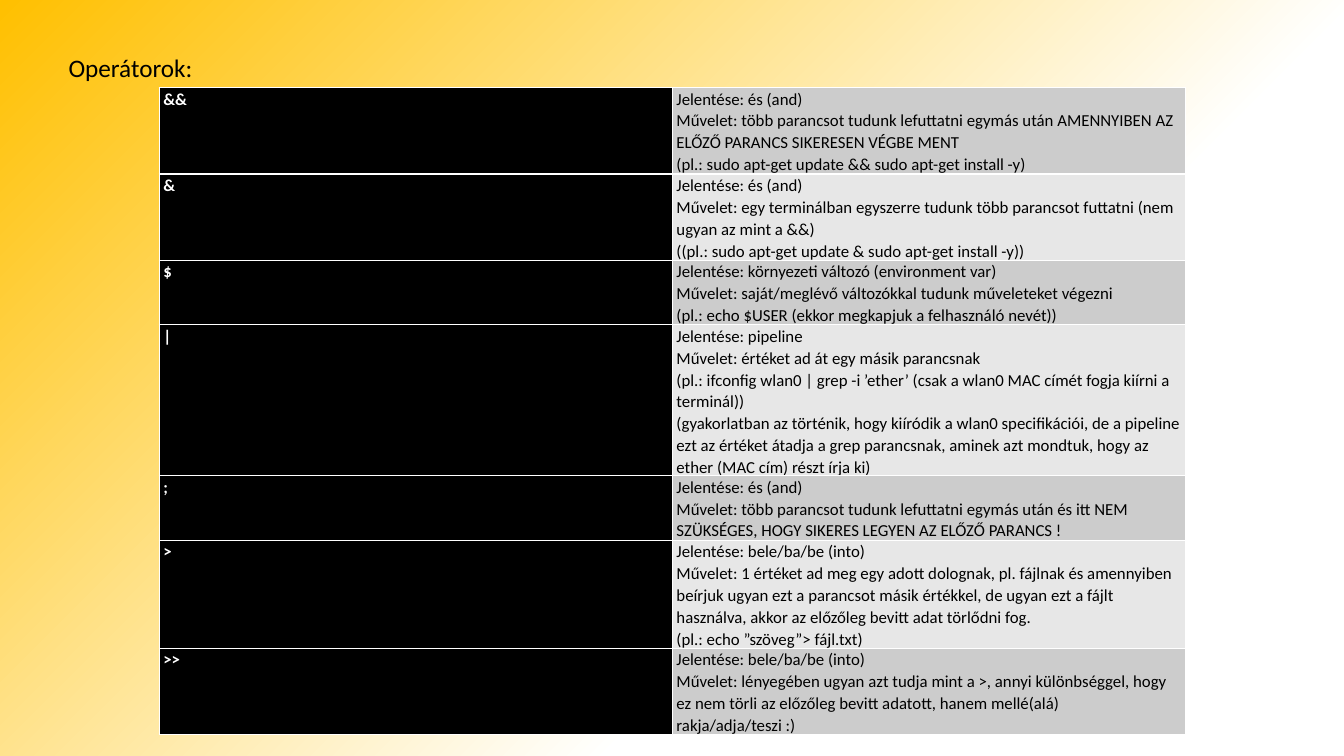
from lxml import etree
from pptx import Presentation
from pptx.dml import color as dml
from pptx.enum import text
from pptx.oxml import ns, parse_xml
from pptx.util import Inches, Pt

FONT = "Calibri"
BLACK, WHITE, GOLD = "000000", "FFFFFF", "FFC000"
BANDS = ("CCCCCC", "E7E7E7")
OPERATORS = [
    ("&&", 0.75, [
        "Jelentése: és (and)",
        "Művelet: több parancsot tudunk lefuttatni egymás után AMENNYIBEN AZ ELŐZŐ PARANCS SIKERESEN VÉGBE MENT",
        "(pl.: sudo apt-get update && sudo apt-get install -y)"]),
    ("&", 0.64, [
        "Jelentése: és (and)",
        "Művelet: egy terminálban egyszerre tudunk több parancsot futtatni (nem ugyan az mint a &&)",
        "((pl.: sudo apt-get update & sudo apt-get install -y))"]),
    ("$", 0.64, [
        "Jelentése: környezeti változó (environment var)",
        "Művelet: saját/meglévő változókkal tudunk műveleteket végezni",
        "(pl.: echo $USER (ekkor megkapjuk a felhasználó nevét))"]),
    ("|", 1.18, [
        "Jelentése: pipeline",
        "Művelet: értéket ad át egy másik parancsnak",
        "(pl.: ifconfig wlan0 | grep -i ’ether’ (csak a wlan0 MAC címét fogja kiírni a terminál))",
        "(gyakorlatban az történik, hogy kiíródik a wlan0 specifikációi, de a pipeline ezt az értéket "
        "átadja a grep parancsnak, aminek azt mondtuk, hogy az ether (MAC cím) részt írja ki)"]),
    (";", 0.53, [
        "Jelentése: és (and)",
        "Művelet: több parancsot tudunk lefuttatni egymás után és itt NEM SZÜKSÉGES, HOGY SIKERES LEGYEN "
        "AZ ELŐZŐ PARANCS !"]),
    (">", 0.85, [
        "Jelentése: bele/ba/be (into)",
        "Művelet: 1 értéket ad meg egy adott dolognak, pl. fájlnak és amennyiben beírjuk ugyan ezt a parancsot "
        "másik értékkel, de ugyan ezt a fájlt használva, akkor az előzőleg bevitt adat törlődni fog.",
        "(pl.: echo ”szöveg”> fájl.txt)"]),
    (">>", 0.53, [
        "Jelentése: bele/ba/be (into)",
        "Művelet: lényegében ugyan azt tudja mint a >, annyi különbséggel, hogy ez nem törli az előzőleg "
        "bevitt adatott, hanem mellé(alá) rakja/adja/teszi :)"]),
]


def rgb(value):
    """Turn a hex string into a colour."""
    return dml.RGBColor.from_string(value)


def format_run(run, size, color, bold=False):
    """Set the font of one run."""
    run.font.name, run.font.size, run.font.bold = FONT, Pt(size), bold
    run.font.color.rgb = rgb(color)


def paint_background(slide):
    """Fill the slide with a radial gradient centred on the bottom right corner."""
    stops = "".join(
        f'<a:gs pos="{position * 1000}"><a:srgbClr val="{color}"/></a:gs>'
        for position, color in ((0, WHITE), (35, WHITE), (100, GOLD)))
    background = parse_xml(
        f'<p:bg {ns.nsdecls("p", "a")}><p:bgPr><a:gradFill rotWithShape="1"><a:gsLst>{stops}</a:gsLst>'
        '<a:path path="circle"><a:fillToRect l="100000" t="100000"/></a:path></a:gradFill>'
        '<a:effectLst/></p:bgPr></p:bg>')
    slide.element.cSld.insert(0, background)


def add_heading(slide, left, top, width, height):
    """Place the heading in the title placeholder."""
    title = slide.shapes.title
    title.left, title.top, title.width, title.height = map(Inches, (left, top, width, height))
    frame = title.text_frame
    frame.text = "Operátorok:"
    frame.word_wrap = True
    frame.auto_size = text.MSO_AUTO_SIZE.SHAPE_TO_FIT_TEXT
    frame.vertical_anchor = text.MSO_ANCHOR.TOP
    paragraph = frame.paragraphs[0]
    paragraph.alignment = text.PP_ALIGN.LEFT
    format_run(paragraph.runs[0], 18, BLACK)


def add_borders(cell, color, width):
    """Draw a line on all four sides of a cell."""
    properties = cell._tc.get_or_add_tcPr()
    for side in ("lnL", "lnR", "lnT", "lnB"):
        line = etree.SubElement(properties, ns.qn(f"a:{side}"), w=str(Pt(width)))
        fill = etree.SubElement(line, ns.qn("a:solidFill"))
        etree.SubElement(fill, ns.qn("a:srgbClr"), val=color)


def fill_cell(cell, lines, fill, color, bold):
    """Write and style one table cell."""
    cell.margin_left = cell.margin_right = Inches(0.04)
    cell.margin_top = cell.margin_bottom = 0
    add_borders(cell, WHITE, 1)
    cell.fill.solid()
    cell.fill.fore_color.rgb = rgb(fill)
    cell.text_frame.text = "\n".join(lines)
    for paragraph in cell.text_frame.paragraphs:
        paragraph.line_spacing = 1.07
        format_run(paragraph.runs[0], 12, color, bold)


def add_operator_table(slide, left, top, width):
    """Place the table of operators and their meanings."""
    height = sum(row_height for _, row_height, _ in OPERATORS)
    box = map(Inches, (left, top, width, height))
    table = slide.shapes.add_table(len(OPERATORS), 2, *box).table
    table.first_row = table.horz_banding = False
    for index, (operator, row_height, meaning) in enumerate(OPERATORS):
        table.rows[index].height = Inches(row_height)
        fill_cell(table.cell(index, 0), [operator], BLACK, WHITE, True)
        fill_cell(table.cell(index, 1), meaning, BANDS[index % 2], BLACK, False)


def main():
    """Build and save the presentation."""
    presentation = Presentation()
    presentation.slide_width, presentation.slide_height = Inches(13.33), Inches(7.5)
    slide = presentation.slides.add_slide(presentation.slide_layouts[5])
    paint_background(slide)
    add_heading(slide, 0.58, 0.47, 2.69, 0.4)
    add_operator_table(slide, 1.58, 0.87, 10.18)
    presentation.save("out.pptx")


if __name__ == "__main__":
    main()
